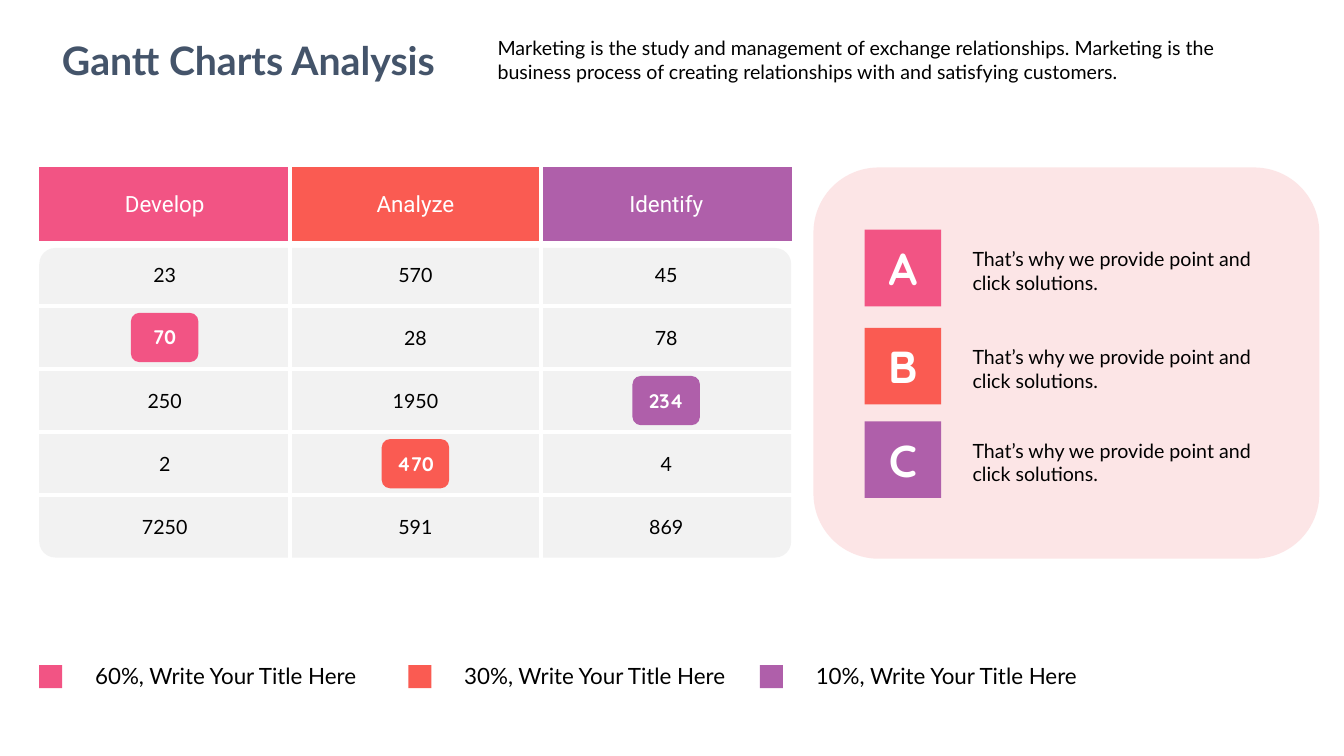
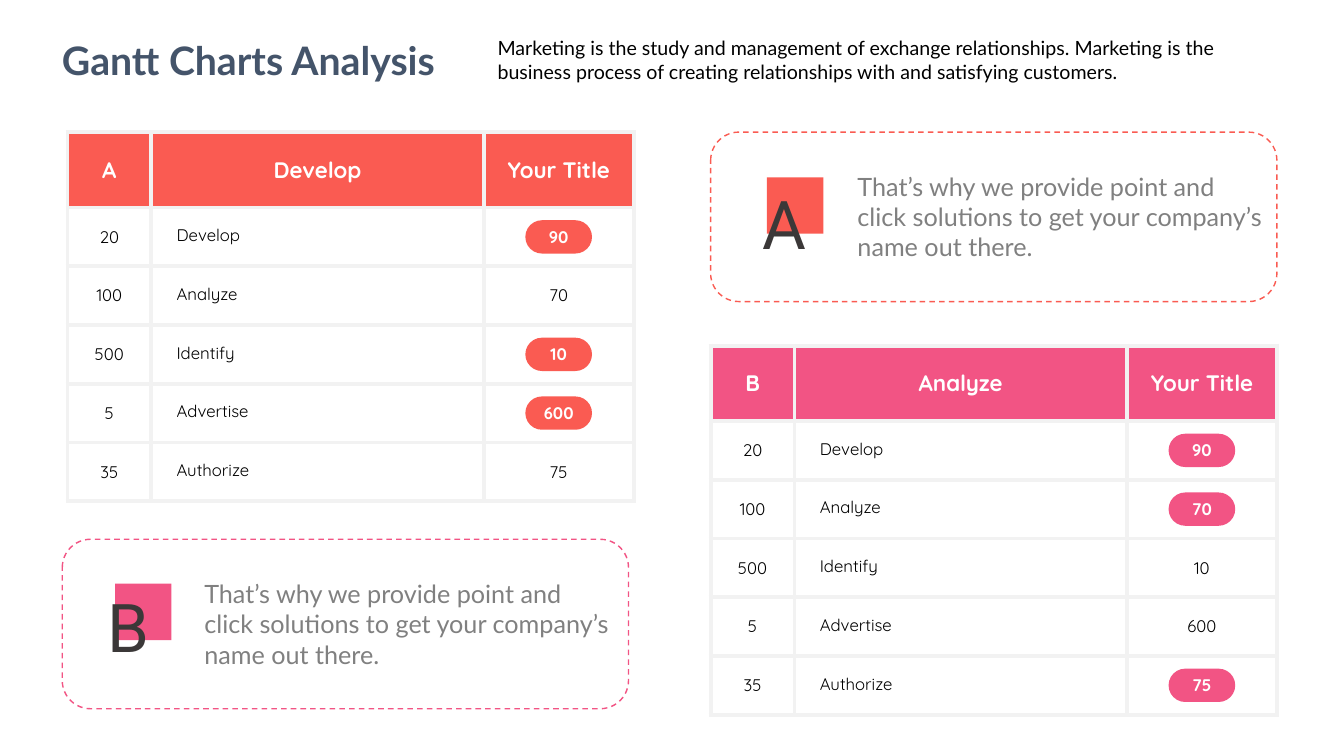
import pptx
import pptx.util
import pptx.dml.color
import pptx.enum.dml
import pptx.enum.shapes
import pptx.enum.text
import pptx.oxml.ns
from lxml import etree

Cm = pptx.util.Cm
Pt = pptx.util.Pt
RGBColor = pptx.dml.color.RGBColor
SHAPE = pptx.enum.shapes.MSO_SHAPE
ALIGN = pptx.enum.text.PP_ALIGN
ANCHOR = pptx.enum.text.MSO_ANCHOR
qn = pptx.oxml.ns.qn

PINK = RGBColor(0xF2, 0x54, 0x84)
CORAL = RGBColor(0xFA, 0x5B, 0x52)
PURPLE = RGBColor(0xAF, 0x5F, 0xAA)
ROSE = RGBColor(0xF2, 0x7D, 0x84)
SLATE = RGBColor(0x44, 0x54, 0x6A)
CHARCOAL = RGBColor(0x3B, 0x38, 0x38)
GREY = RGBColor(0x80, 0x80, 0x80)
PALE = RGBColor(0xF2, 0xF2, 0xF2)
BLACK = RGBColor(0, 0, 0)
WHITE = RGBColor(0xFF, 0xFF, 0xFF)


def add_block(slide, kind, left, top, width, height, fill=None):
    box = Cm(left), Cm(top), Cm(width), Cm(height)
    if kind is None:
        return slide.shapes.add_textbox(*box)
    block = slide.shapes.add_shape(kind, *box)
    block.shadow.inherit = False
    block.line.fill.background()
    if fill is None:
        block.fill.background()
    else:
        block.fill.solid()
        block.fill.fore_color.rgb = fill
    return block


def write(frame, text, font, size, colour, bold=False, align=ALIGN.LEFT, wrap=True):
    frame.word_wrap = wrap
    paragraph = frame.paragraphs[0]
    paragraph.text = text
    paragraph.alignment = align
    paragraph.font.name = font
    paragraph.font.size = Pt(size)
    paragraph.font.bold = bold
    paragraph.font.color.rgb = colour


deck = pptx.Presentation()
deck.slide_width = Cm(33.87)
deck.slide_height = Cm(19.05)

overview, comparison = [deck.slides.add_slide(deck.slide_layouts[6]) for _ in range(2)]

for slide in (overview, comparison):
    title = add_block(slide, None, 0.99, 0.79, 10.54, 1.45)
    write(title.text_frame, "Gantt Charts Analysis", "Lato", 28, SLATE, True, ALIGN.CENTER, False)
    intro = add_block(slide, None, 12.29, 0.79, 19.86, 1.45)
    write(intro.text_frame,
          "Marketing is the study and management of exchange relationships. Marketing is the "
          "business process of creating relationships with and satisfying customers.",
          "Lato", 14, BLACK)

panel = add_block(overview, SHAPE.ROUNDED_RECTANGLE, 20.5, 4.22, 12.75, 9.86, ROSE)
panel_colour = panel.fill._xPr.find(".//" + qn("a:srgbClr"))
etree.SubElement(panel_colour, qn("a:alpha"), val="20000")

table_body = add_block(overview, SHAPE.ROUNDED_RECTANGLE, 0.99, 6.25, 18.95, 7.8, PALE)
table_body.adjustments[0] = 0.052

for letter, colour, top in (("A", PINK, 5.79), ("B", CORAL, 8.26), ("C", PURPLE, 10.62)):
    tile = add_block(overview, SHAPE.RECTANGLE, 21.79, top, 1.93, 1.93, colour)
    tile.text_frame.vertical_anchor = ANCHOR.MIDDLE
    write(tile.text_frame, letter, "Quicksand", 32, WHITE, True, ALIGN.CENTER)
    reason = add_block(overview, None, 24.26, top + 0.3, 7.62, 1.45)
    reason.text_frame.vertical_anchor = ANCHOR.MIDDLE
    write(reason.text_frame, "That’s why we provide point and click solutions.", "Lato", 14, BLACK)

for share, colour, left in (("60%", PINK, 0.99), ("30%", CORAL, 10.29), ("10%", PURPLE, 19.15)):
    add_block(overview, SHAPE.RECTANGLE, left, 16.9 - 0.14, 0.58, 0.58, colour)
    legend = add_block(overview, None, left + 0.8, 16.38, 8.23, 1.3)
    legend.text_frame.margin_left = legend.text_frame.margin_right = Cm(0.61)
    legend.text_frame.margin_top = legend.text_frame.margin_bottom = Cm(0.3)
    write(legend.text_frame, f"{share}, Write Your Title Here", "Lato", 16, BLACK)

activities = ["Develop", "Analyze", "Identify", "Advertise", "Authorize"]
counts = ["20", "100", "500", "5", "35"]
scores = ["90", "70", "10", "600", "75"]
activity_rows = list(zip(counts, activities, scores))

overview_style = dict(slide=overview, widths=[6.32] * 3, row_height=1.59, border=WHITE, framed=False,
                      header_font=("Roboto", False), body_font=("Lato", 14),
                      chip=(1.7, 1.24, 0.17), left_column=None)
comparison_style = dict(slide=comparison, widths=[2.11, 8.38, 3.78], row_height=1.48, border=PALE,
                        framed=True, header_font=("Quicksand", True), body_font=("Quicksand", 12),
                        chip=(1.68, 0.84, 0.5), left_column=1)
HEADER_HEIGHT = 1.9

grids = [
    dict(overview_style, left=0.99, top=4.22, colours=[PINK, CORAL, PURPLE],
         marked={(2, 0), (3, 2), (4, 1)},
         rows=[("Develop", "Analyze", "Identify"), ("23", "570", "45"), ("70", "28", "78"),
               ("250", "1950", "234"), ("2", "470", "4"), ("7250", "591", "869")]),
    dict(comparison_style, left=17.91, top=8.71, colours=[PINK] * 3,
         marked={(1, 2), (2, 2), (5, 2)},
         rows=[("B", "Analyze", "Your Title")] + activity_rows),
    dict(comparison_style, left=1.7, top=3.33, colours=[CORAL] * 3,
         marked={(1, 2), (3, 2), (4, 2)},
         rows=[("A", "Develop", "Your Title")] + activity_rows),
]

for grid in grids:
    widths, rows, row_height = grid["widths"], grid["rows"], grid["row_height"]
    chip_width, chip_height, chip_round = grid["chip"]
    for row, column in sorted(grid["marked"]):
        center_x = grid["left"] + sum(widths[:column]) + widths[column] / 2
        center_y = grid["top"] + HEADER_HEIGHT + (row - 0.5) * row_height
        chip = add_block(grid["slide"], SHAPE.ROUNDED_RECTANGLE, center_x - chip_width / 2,
                         center_y - chip_height / 2, chip_width, chip_height, grid["colours"][column])
        chip.adjustments[0] = chip_round

    heights = [HEADER_HEIGHT] + [row_height] * (len(rows) - 1)
    table = grid["slide"].shapes.add_table(
        len(rows), len(widths), Cm(grid["left"]), Cm(grid["top"]),
        Cm(sum(widths)), Cm(sum(heights))).table
    table.first_row = table.horz_banding = False
    for column, width in enumerate(widths):
        table.columns[column].width = Cm(width)
    for row, height in enumerate(heights):
        table.rows[row].height = Cm(height)
        for column, text in enumerate(rows[row]):
            cell = table.cell(row, column)
            cell.vertical_anchor = ANCHOR.MIDDLE
            cell.margin_left = cell.margin_right = Cm(0.13)
            cell.margin_top = cell.margin_bottom = Cm(0.08)
            align = ALIGN.CENTER
            if row and column == grid["left_column"]:
                cell.margin_left, cell.margin_right, cell.margin_top = Cm(0.64), 0, 0
                align = ALIGN.LEFT

            inner_edges = {"L": column > 0, "R": column < len(widths) - 1,
                           "T": row > 0, "B": row < len(rows) - 1}
            for side, inner in inner_edges.items():
                edge = etree.SubElement(cell._tc.get_or_add_tcPr(), qn(f"a:ln{side}"), w=str(Pt(3)))
                if inner or grid["framed"]:
                    paint = etree.SubElement(edge, qn("a:solidFill"))
                    etree.SubElement(paint, qn("a:srgbClr"), val=str(grid["border"]))
                else:
                    etree.SubElement(edge, qn("a:noFill"))

            body_font, body_size = grid["body_font"]
            if row == 0:
                cell.fill.solid()
                cell.fill.fore_color.rgb = grid["colours"][column]
                header_font, header_bold = grid["header_font"]
                write(cell.text_frame, text, header_font, 16, WHITE, header_bold, align)
            else:
                cell.fill.background()
                if (row, column) in grid["marked"]:
                    write(cell.text_frame, text, "Quicksand", body_size, WHITE, True, align)
                else:
                    write(cell.text_frame, text, body_font, body_size, BLACK, False, align)

cards = [
    ("A", CORAL, (17.91, 3.33), (19.33, 4.47), (18.97, 4.47), (21.36, 4.19)),
    ("B", PINK, (1.57, 13.59), (2.9, 14.71), (2.46, 14.63), (4.9, 14.45)),
]
for letter, colour, card_at, square_at, letter_at, message_at in cards:
    add_block(comparison, SHAPE.RECTANGLE, *square_at, 1.42, 1.42, colour)
    initial = add_block(comparison, None, *letter_at, 1.14, 2.31)
    write(initial.text_frame, letter, "Roboto", 48, CHARCOAL, False, ALIGN.CENTER)
    message = add_block(comparison, None, *message_at, 10.8, 2.57)
    write(message.text_frame,
          "That’s why we provide point and click solutions to get your company’s name out there.",
          "Lato", 18, GREY)
    outline = add_block(comparison, SHAPE.ROUNDED_RECTANGLE, *card_at, 14.27, 4.27)
    outline.line.color.rgb = colour
    outline.line.width = Pt(1)
    outline.line.dash_style = pptx.enum.dml.MSO_LINE.DASH

deck.save("out.pptx")
